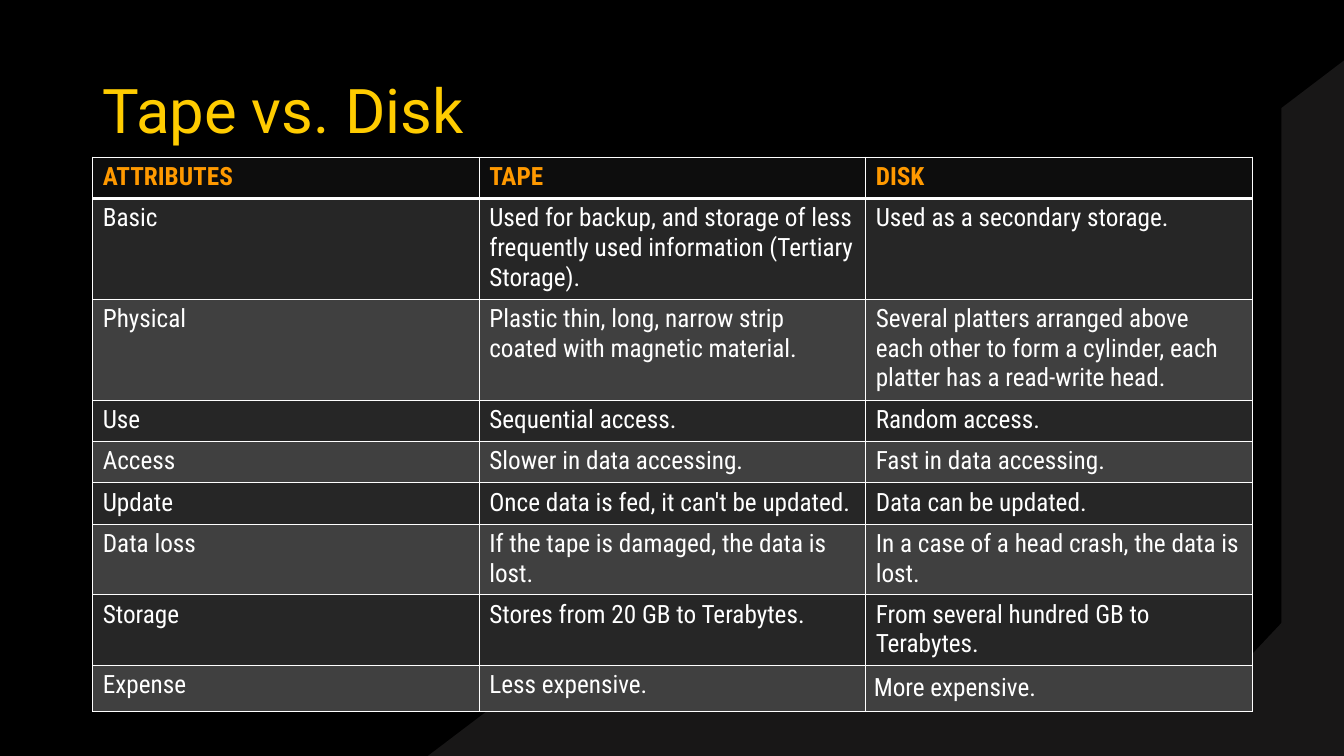
from lxml import etree
from pptx import Presentation
from pptx.dml.color import RGBColor
from pptx.enum import shapes, text
from pptx.oxml import ns
from pptx.util import Inches, Pt

BLACK = RGBColor(0x00, 0x00, 0x00)
CORNER_GREY = RGBColor(0x18, 0x17, 0x17)
YELLOW = RGBColor(0xFF, 0xCC, 0x00)
ORANGE = RGBColor(0xFF, 0x99, 0x00)
WHITE = RGBColor(0xFF, 0xFF, 0xFF)
HEADER_FILL = RGBColor(0x0D, 0x0D, 0x0D)
ODD_FILL = RGBColor(0x26, 0x26, 0x26)
EVEN_FILL = RGBColor(0x40, 0x40, 0x40)

LEFT, WIDTH = 0.92, 11.5

COMPARISON = [
    ("ATTRIBUTES", "TAPE", "DISK"),
    ("Basic",
     "Used for backup, and storage of less frequently used information (Tertiary Storage).",
     "Used as a secondary storage."),
    ("Physical",
     "Plastic thin, long, narrow strip coated with magnetic material.",
     "Several platters arranged above each other to form a cylinder, "
     "each platter has a read-write head."),
    ("Use", "Sequential access.", "Random access."),
    ("Access", "Slower in data accessing.", "Fast in data accessing."),
    ("Update", "Once data is fed, it can't be updated.", "Data can be updated."),
    ("Data loss", "If the tape is damaged, the data is lost.",
     "In a case of a head crash, the data is lost."),
    ("Storage", "Stores from 20 GB to Terabytes.",
     "From several hundred GB to Terabytes."),
    ("Expense", "Less expensive.", "More expensive."),
]
ROW_HEIGHTS = [0.41, 0.98, 0.98, 0.41, 0.41, 0.41, 0.69, 0.69, 0.46]


def set_borders(cell, widths):
    """Draw white cell borders; widths maps a side (L, R, T, B) to points."""
    properties = cell._tc.get_or_add_tcPr()
    for position, (side, width) in enumerate(widths.items()):
        line = etree.Element(ns.qn(f"a:ln{side}"), w=str(Pt(width)))
        fill = etree.SubElement(line, ns.qn("a:solidFill"))
        etree.SubElement(fill, ns.qn("a:srgbClr"), val=str(WHITE))
        properties.insert(position, line)


prs = Presentation()
prs.slide_width, prs.slide_height = Inches(13.33), Inches(7.5)
slide = prs.slides.add_slide(prs.slide_layouts[6])
slide.background.fill.solid()
slide.background.fill.fore_color.rgb = BLACK

# Corner decoration
for preset, box, adjustments in [
    (shapes.MSO_SHAPE.DIAGONAL_STRIPE, (11.46, 5.52, 1.87, 1.99), [0]),
    (shapes.MSO_SHAPE.HALF_FRAME, (4.23, 0.6, 9.1, 6.91), [0.09, 0.09]),
]:
    corner = slide.shapes.add_shape(preset, *map(Inches, box))
    for index, value in enumerate(adjustments):
        corner.adjustments[index] = value
    corner.rotation = 180
    corner.shadow.inherit = False
    corner.fill.solid()
    corner.fill.fore_color.rgb = CORNER_GREY
    corner.line.fill.background()

# Title
title = slide.shapes.add_textbox(Inches(LEFT), Inches(0.4), Inches(WIDTH), Inches(1.45))
title.text_frame.word_wrap = True
title.text_frame.vertical_anchor = text.MSO_ANCHOR.MIDDLE
title.text_frame.text = "Tape vs. Disk"
heading = title.text_frame.paragraphs[0]
heading.line_spacing = 0.9
heading_font = heading.runs[0].font
heading_font.name, heading_font.size = "Roboto", Pt(44)
heading_font.color.rgb = YELLOW

# Comparison table
table = slide.shapes.add_table(
    len(COMPARISON), 3, Inches(LEFT), Inches(1.56),
    Inches(WIDTH), Inches(sum(ROW_HEIGHTS))).table
for column in table.columns:
    column.width = Inches(WIDTH / 3)

for r, (entries, height) in enumerate(zip(COMPARISON, ROW_HEIGHTS)):
    table.rows[r].height = Inches(height)
    is_header = r == 0
    for c, entry in enumerate(entries):
        cell = table.cell(r, c)
        cell.text = entry
        cell.fill.solid()
        cell.fill.fore_color.rgb = (
            HEADER_FILL if is_header else ODD_FILL if r % 2 else EVEN_FILL)
        set_borders(cell, {"L": 1, "R": 1, "T": 3 if r == 1 else 1,
                           "B": 3 if is_header else 1})
        font = cell.text_frame.paragraphs[0].runs[0].font
        font.name, font.size, font.bold = "Roboto Condensed", Pt(18), is_header
        font.color.rgb = ORANGE if is_header else WHITE

# The last cell has even margins on all sides
last = table.cell(len(COMPARISON) - 1, 2)
last.margin_left = last.margin_right = last.margin_top = last.margin_bottom = Inches(0.08)

prs.save("out.pptx")
